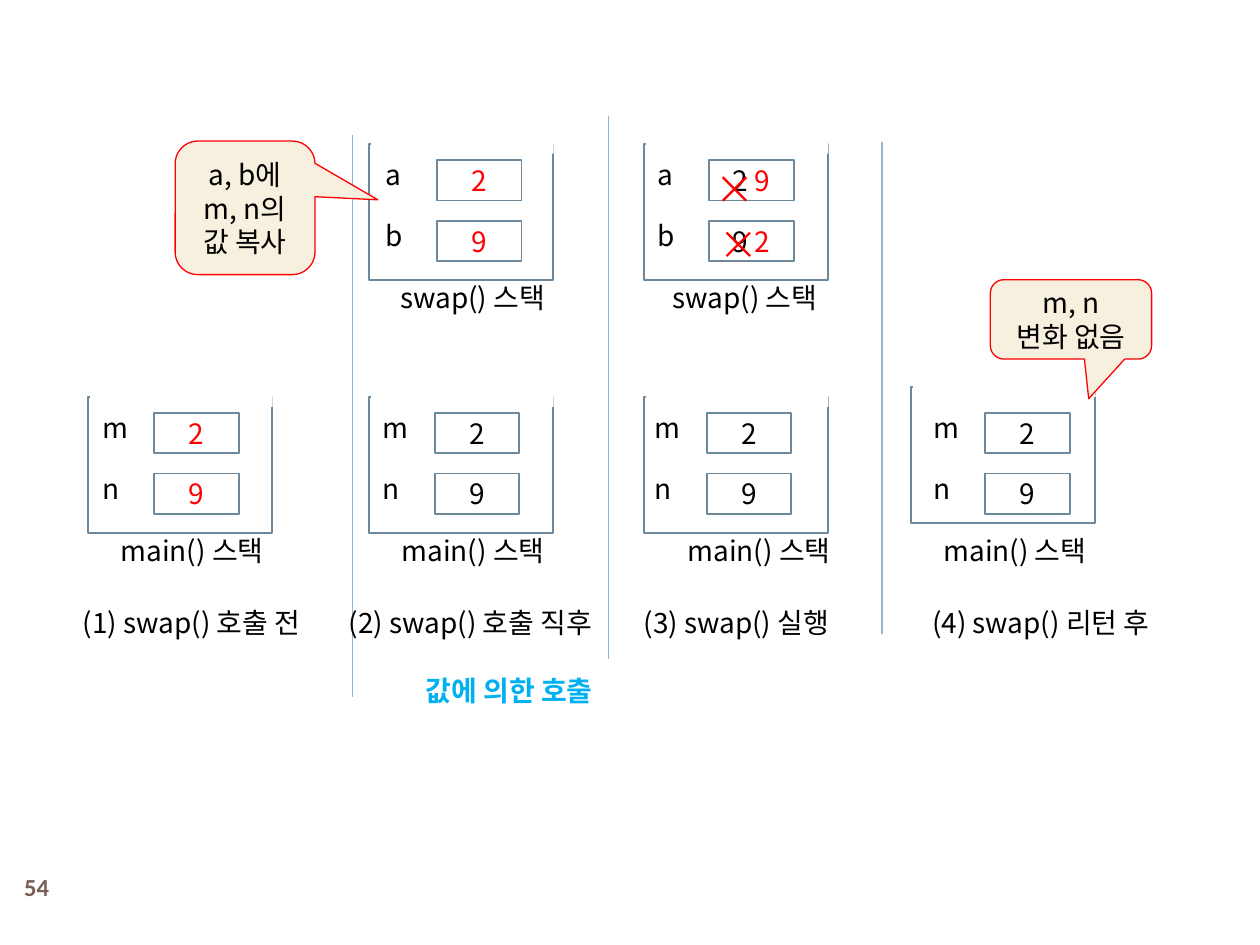
from dataclasses import dataclass

from pptx import Presentation
from pptx import util as u
from pptx.dml.color import RGBColor
from pptx.enum import shapes, text
from pptx.oxml.ns import qn
from lxml import etree

BLACK = RGBColor(0, 0, 0)
WHITE = RGBColor(255, 255, 255)
RED = RGBColor(255, 0, 0)
SKY = RGBColor(0x00, 0xB0, 0xF0)
BROWN = RGBColor(0x77, 0x5F, 0x55)
CREAM = RGBColor(0xF7, 0xF0, 0xDE)
SLATE = RGBColor(0x6D, 0x87, 0x9B)
DIVIDER = RGBColor(0x94, 0xB6, 0xD2)

BODY_FONT = "Noto Sans CJK KR"
COLUMNS, ROWS = 100, 75
FRAME_WIDTH, FRAME_HEIGHT = 14.6, 10.8
LID_HEIGHT = 1.4
CELL_WIDTH, CELL_HEIGHT = 6.7, 3.2
VARIABLE_STEP = 4.8
LINE_HEIGHT = 3.7

deck = Presentation()
deck.slide_width, deck.slide_height = u.Inches(10), u.Inches(7.5)
slide = deck.slides.add_slide(deck.slide_layouts[6])


@dataclass(frozen=True)
class Run:
    words: str
    color: RGBColor = BLACK


@dataclass(frozen=True)
class Variable:
    name: str
    values: tuple[Run, ...]


@dataclass(frozen=True)
class Stack:
    function: str
    left: float
    top: float
    names_left: float
    names_top: float
    caption_left: float
    variables: tuple[Variable, ...]


@dataclass(frozen=True)
class Callout:
    box: tuple[float, float, float, float]
    pointer: tuple[float, float, float]
    lines: tuple[str, ...]


@dataclass(frozen=True)
class Label:
    words: str
    left: float
    top: float
    width: float


def col(columns: float) -> int:
    return round(deck.slide_width * columns / COLUMNS)


def row(rows: float) -> int:
    return round(deck.slide_height * rows / ROWS)


def place(left: float, top: float, width: float, height: float) -> tuple[int, ...]:
    return col(left), row(top), col(width), row(height)


def write(paragraph, runs: tuple[Run, ...], align=None, **changes) -> None:
    paragraph.alignment = align
    style = {"size": u.Pt(16), "name": BODY_FONT, "bold": False} | changes
    for part in runs:
        run = paragraph.add_run()
        run.text = part.words
        for key, value in style.items():
            setattr(run.font, key, value)
        run.font.color.rgb = part.color
        properties = run.font._element
        etree.SubElement(properties, qn("a:ea")).set("typeface", style["name"])


def draw_label(label: Label, color: RGBColor = BLACK, wrap: bool = False, **changes) -> None:
    box = slide.shapes.add_textbox(*place(label.left, label.top, label.width, LINE_HEIGHT))
    settings = {"word_wrap": wrap, "auto_size": text.MSO_AUTO_SIZE.SHAPE_TO_FIT_TEXT}
    for key, value in settings.items():
        setattr(box.text_frame, key, value)
    write(box.text_frame.paragraphs[0], (Run(label.words, color),), **changes)


def draw_shape(kind, box: tuple[float, ...], fill: RGBColor,
               line: RGBColor | None = None, weight: float = 1,
               paragraphs: tuple[tuple[Run, ...], ...] = ()):
    shape = slide.shapes.add_shape(kind, *place(*box))
    shape.shadow.inherit = False
    shape.fill.solid()
    shape.fill.fore_color.rgb = fill
    if line is None:
        shape.line.fill.background()
    else:
        shape.line.color.rgb = line
        shape.line.width = u.Pt(weight)
    frame = shape.text_frame
    frame.vertical_anchor = text.MSO_ANCHOR.MIDDLE
    for index, runs in enumerate(paragraphs):
        paragraph = frame.add_paragraph() if index else frame.paragraphs[0]
        write(paragraph, runs, text.PP_ALIGN.CENTER)
    return shape


def draw_divider(x: float, top: float, bottom: float) -> None:
    divider = slide.shapes.add_connector(
        shapes.MSO_CONNECTOR.STRAIGHT, col(x), row(top), col(x), row(bottom))
    divider.line.color.rgb = DIVIDER
    divider.line.width = u.Pt(0.79)
    etree.SubElement(divider._element.spPr, qn("a:effectLst"))


def draw_frame(stack: Stack) -> None:
    rectangle = shapes.MSO_SHAPE.RECTANGLE
    draw_shape(rectangle, (stack.left, stack.top, FRAME_WIDTH, FRAME_HEIGHT), WHITE, SLATE)
    draw_shape(rectangle, (stack.left + 0.15, stack.top - 0.6, FRAME_WIDTH - 0.1, LID_HEIGHT), WHITE)


def draw_contents(stack: Stack) -> None:
    for index, variable in enumerate(stack.variables):
        top = stack.names_top + index * VARIABLE_STEP
        draw_label(Label(variable.name, stack.names_left, top, 7.3), wrap=True)
        cell = (stack.names_left + 5.1, top + 0.67, CELL_WIDTH, CELL_HEIGHT)
        draw_shape(shapes.MSO_SHAPE.RECTANGLE, cell, WHITE, SLATE, paragraphs=(variable.values,))
    draw_label(Label(f"{stack.function}() 스택", stack.caption_left, stack.names_top + 9.75, 17.3))


def draw_callout(callout: Callout) -> None:
    bubble = draw_shape(shapes.MSO_SHAPE.ROUNDED_RECTANGULAR_CALLOUT, callout.box, CREAM, RED, 0.75,
                        tuple((Run(line),) for line in callout.lines))
    for index, share in enumerate(callout.pointer):
        bubble.adjustments[index] = share


def variables(names: str, color: RGBColor) -> tuple[Variable, ...]:
    return tuple(Variable(name, (Run(value, color),)) for name, value in zip(names, "29"))


SWAPPED = (
    Variable("a", (Run("2"), Run(" 9", RED))),
    Variable("b", (Run("9"), Run(" 2", RED))),
)
STACKS = (
    Stack("main", 7, 31.5, 7.15, 32.1, 8.6, variables("mn", RED)),
    Stack("main", 29.3, 31.5, 29.4, 32.1, 30.9, variables("mn", BLACK)),
    Stack("swap", 29.3, 11.4, 29.6, 12.05, 30.8, variables("ab", RED)),
    Stack("main", 51.1, 31.5, 51, 32.1, 53.6, variables("mn", BLACK)),
    Stack("swap", 51.1, 11.4, 51.2, 12.05, 52.4, SWAPPED),
    Stack("main", 72.3, 30.7, 73.1, 32.1, 73.9, variables("mn", BLACK)),
)
STEPS = (
    Label("(1) swap() 호출 전", 5.6, 47.55, 25.6),
    Label("(2) swap() 호출 직후", 26.7, 47.55, 28.2),
    Label("(3) swap() 실행", 50.1, 47.55, 22.2),
    Label("(4) swap() 리턴 후", 73, 47.55, 25.6),
)
DIVIDERS = ((28, 10.7, 55.3), (48.3, 9.2, 52.3), (70, 11.3, 50.3))
CROSSES = ((56.5, 13.2), (56.8, 17.6))
CALLOUTS = (
    Callout((13.9, 11.2, 11.1, 10.6), (0.95, -0.06, 0.17), ("a, b에", "m, n의 값 복사")),
    Callout((78.6, 22.2, 12.8, 6.3), (0.11, 1, 0.17), ("m, n", "변화 없음")),
)

page = slide.shapes.add_textbox(*place(0, 68.3, 5.8, 4.2)).text_frame
page.word_wrap = True
page.vertical_anchor = text.MSO_ANCHOR.MIDDLE
write(page.paragraphs[0], (Run("54", BROWN),), text.PP_ALIGN.CENTER,
      size=u.Pt(14), name="Calibri", bold=True)

for divider_place in DIVIDERS:
    draw_divider(*divider_place)
for stack in STACKS:
    draw_frame(stack)
for stack in STACKS:
    draw_contents(stack)
for step in STEPS:
    draw_label(step)
for left, top in CROSSES:
    cross = draw_shape(shapes.MSO_SHAPE.MATH_MULTIPLY, (left, top, 3.6, 3.6), RED)
    cross.adjustments[0] = 0.05
for callout in CALLOUTS:
    draw_callout(callout)
draw_label(Label("값에 의한 호출", 32.8, 53, 18.9), SKY, bold=True)

deck.save("out.pptx")
